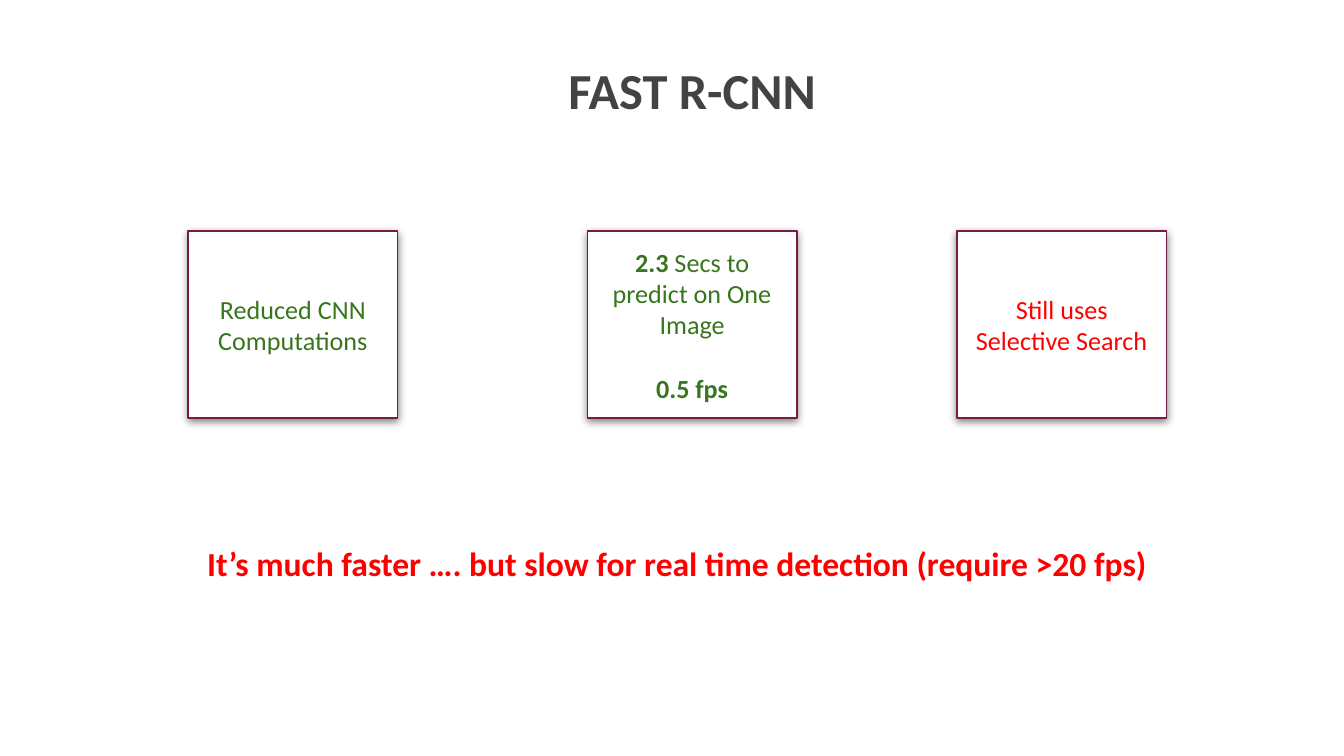
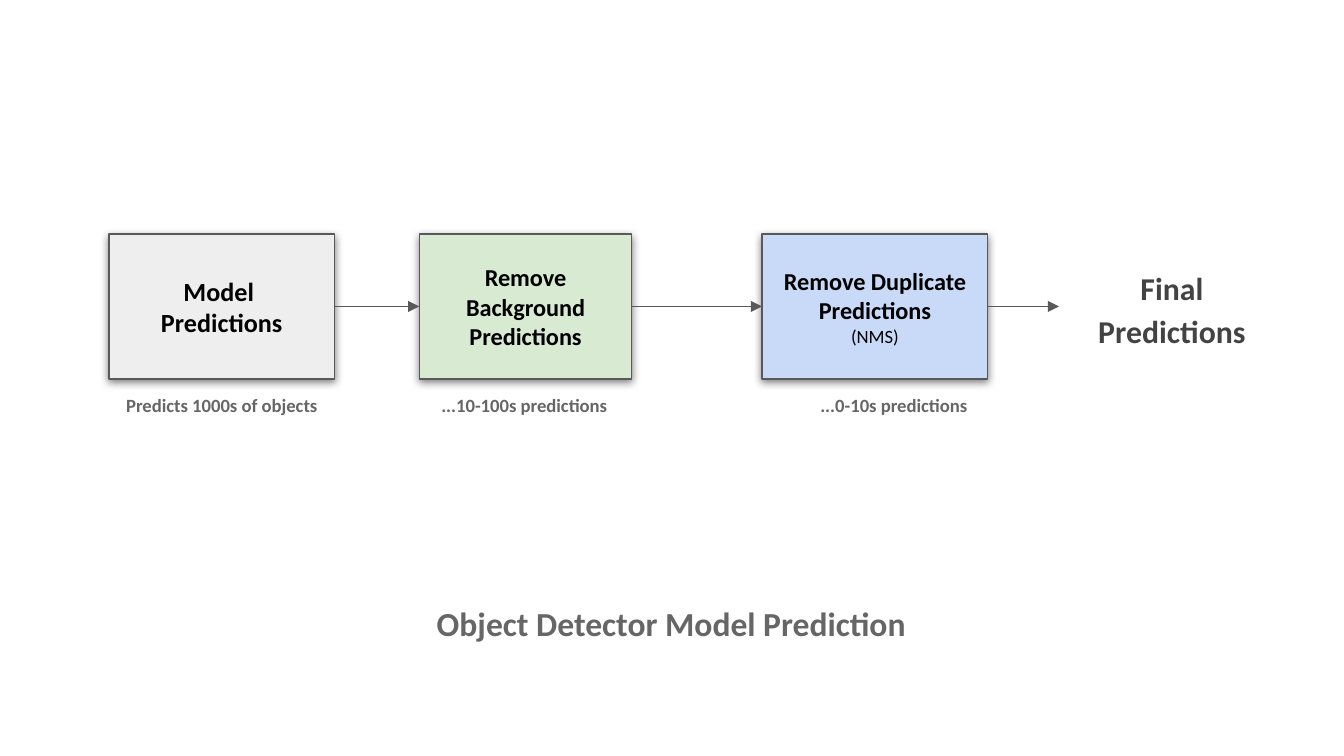
import lxml.etree
import pptx
import pptx.dml.color
import pptx.enum.shapes
import pptx.enum.text
import pptx.oxml
import pptx.oxml.ns
import pptx.util
from dataclasses import dataclass

Inches, Pt = pptx.util.Inches, pptx.util.Pt
RGB = pptx.dml.color.RGBColor.from_string
qn = pptx.oxml.ns.qn


@dataclass(frozen=True)
class Theme:
    font: str = "Calibri"
    white: str = "FFFFFF"
    black: str = "000000"
    title: str = "434343"
    caption: str = "666666"
    stroke: str = "595959"
    frame: str = "741B47"
    good: str = "38761D"
    bad: str = "FF0000"
    gray: str = "EEEEEE"
    green: str = "D9EAD3"
    blue: str = "C9DAF8"
    title_size: int = 27
    heading_size: int = 18
    result_size: int = 17
    box_size: int = 14
    step_size: int = 13
    small_size: int = 10
    line_width: float = 0.75
    inset: float = 0.1


T = Theme()
SHADOW = (
    '<a:effectLst xmlns:a="http://schemas.openxmlformats.org/drawingml/2006/main">'
    '<a:outerShdw blurRad="57150" dist="19050" dir="5400000" algn="bl" rotWithShape="0">'
    '<a:srgbClr val="000000"><a:alpha val="50000"/></a:srgbClr>'
    '</a:outerShdw></a:effectLst>'
)


def add_text(slide, at, paragraphs, size, color, bold=True, anchor="MIDDLE", sp=None):
    """Write centred paragraphs, each a tuple of runs, in sp or a new text box."""
    sp = sp or slide.shapes.add_textbox(*map(Inches, at))
    tf = sp.text_frame
    tf.word_wrap = True
    tf.vertical_anchor = getattr(pptx.enum.text.MSO_ANCHOR, anchor)
    tf.margin_left = tf.margin_right = tf.margin_top = tf.margin_bottom = Inches(T.inset)
    for i, runs in enumerate(paragraphs):
        p = tf.add_paragraph() if i else tf.paragraphs[0]
        p.alignment = pptx.enum.text.PP_ALIGN.CENTER
        p.font.name, p.font.size, p.font.bold = T.font, Pt(size), bold
        p.font.color.rgb = RGB(color)
        for text in runs:
            p.add_run().text = text
    return sp


def add_box(slide, at, paragraphs, size, color, bold, fill, line):
    """Draw a shadowed rectangle with centred text."""
    sp = slide.shapes.add_shape(pptx.enum.shapes.MSO_SHAPE.RECTANGLE, *map(Inches, at))
    sp.fill.solid()
    sp.fill.fore_color.rgb = RGB(fill)
    sp.line.color.rgb = RGB(line)
    sp.line.width = Pt(T.line_width)
    sp.element.spPr.append(pptx.oxml.parse_xml(SHADOW))
    return add_text(slide, at, paragraphs, size, color, bold, sp=sp)


# Widescreen 16:9 deck
prs = pptx.Presentation()
prs.slide_width, prs.slide_height = Inches(10), Inches(10 * 9 / 16)
blank = prs.slide_layouts[6]

# Slide 1: title, three findings and the verdict
s = prs.slides.add_slide(blank)
add_text(s, (2.98, 0.43, 4.34, 0.47), [("FAST R-CNN",)], T.title_size, T.title)

findings = [
    (1.4, [("Reduced CNN Computations",)], T.good),
    (4.37, [("2.3", " Secs to predict on One Image"), ("0.5 fps",)], T.good),
    (7.12, [("Still uses Selective Search",)], T.bad),
]
boxes = [
    add_box(s, (x, 1.72, 1.56, 1.39), paragraphs, T.box_size, color, False, T.white, T.frame)
    for x, paragraphs, color in findings
]

# Bold figures in the speed box, set one line apart
speed, rate = boxes[1].text_frame.paragraphs
speed.runs[0].font.bold = True
rate.font.bold = True
rate.space_before = Pt(17)

add_text(s, (1.4, 3.94, 7.28, 0.92),
         [("It’s much faster …. but slow for real time detection (require >20 fps)",)],
         T.heading_size, T.bad, anchor="TOP")

# Slide 2: prediction pipeline
s = prs.slides.add_slide(blank)
steps = [
    (0.81, 1.68, [("Model ",), ("Predictions",)], T.box_size, T.gray,
     0.81, "Predicts 1000s of objects"),
    (3.12, 1.58, [("Remove Background Predictions",)], T.step_size, T.green,
     3.06, "...10-100s predictions"),
    (5.67, 1.68, [("Remove Duplicate Predictions",), ("(NMS)",)], T.step_size, T.blue,
     5.81, "...0-10s predictions"),
]
stages = []
for x, width, paragraphs, size, fill, caption_x, caption in steps:
    stages.append(add_box(s, (x, 1.74, width, 1.08), paragraphs, size, T.black, True,
                          fill, T.stroke))
    add_text(s, (caption_x, 2.82, 1.68, 0.38), [(caption,)], T.small_size, T.caption)

p = stages[-1].text_frame.paragraphs[1]
p.font.size, p.font.bold = Pt(T.small_size), False

# Outcome of the pipeline
result = add_text(s, (7.88, 1.69, 1.68, 1.18), [("Final Predictions",)],
                  T.result_size, T.title)
result.text_frame.paragraphs[0].line_spacing = 1.15
stages.append(result)

# Arrows from each stage to the next
for start, end in zip(stages, stages[1:]):
    c = s.shapes.add_connector(pptx.enum.shapes.MSO_CONNECTOR.STRAIGHT, 0, 0, 0, 0)
    c.begin_connect(start, 3)
    c.end_connect(end, 1)
    c.line.color.rgb = RGB(T.stroke)
    c.line.width = Pt(T.line_width)
    ln = c.element.spPr.find(qn("a:ln"))
    lxml.etree.SubElement(ln, qn("a:tailEnd"), type="triangle")
    lxml.etree.SubElement(c.element.spPr, qn("a:effectLst"))

add_text(s, (2.95, 4.3, 4.09, 0.67), [("Object Detector Model Prediction",)],
         T.heading_size, T.caption)

prs.save("out.pptx")
